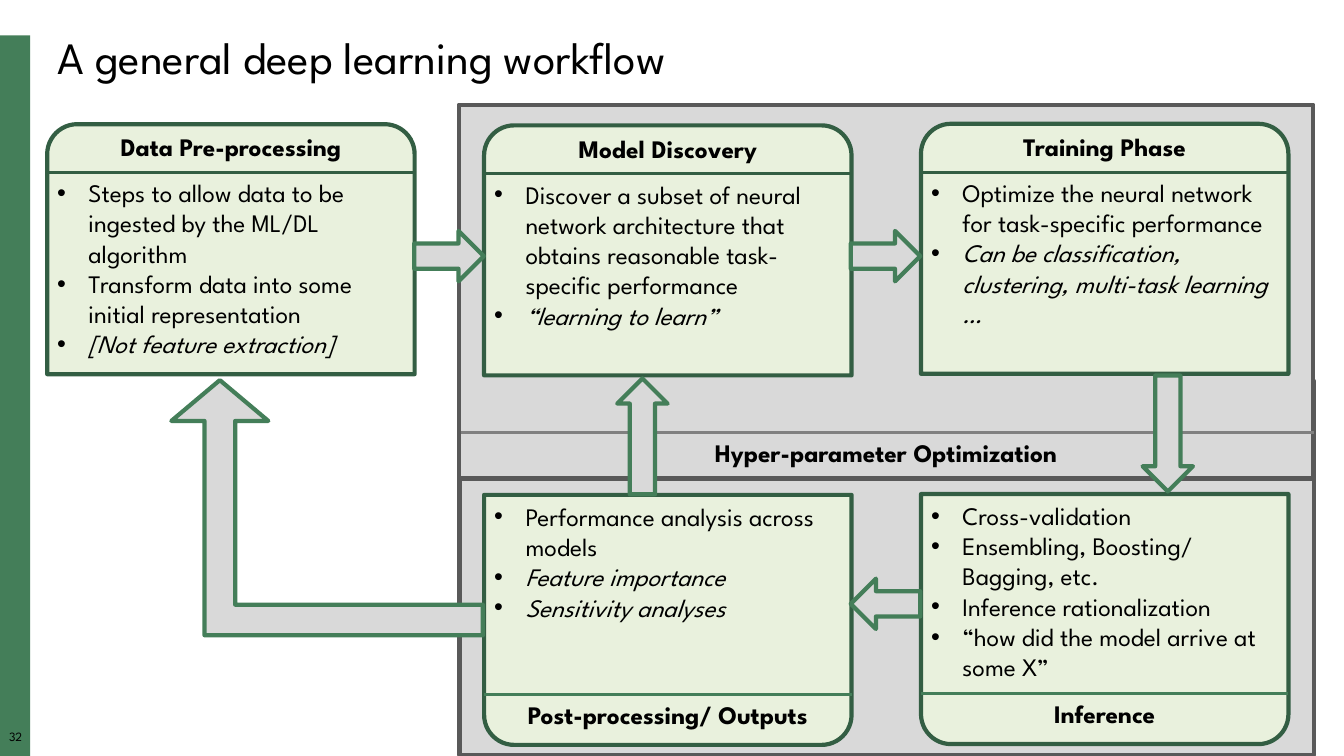
from lxml import etree
from pptx import Presentation
from pptx.dml.color import RGBColor
from pptx.enum import shapes, text
from pptx.oxml import ns
from pptx.util import Cm, Pt

FONT = "League Spartan"
COLORS = {
    "text": "000000",
    "accent": "447E59",
    "card": "E9F1DD",
    "card_line": "335E43",
    "panel": "D9D9D9",
    "panel_line": "595959",
    "rule": "808080",
}
CARD_WIDTH, CARD_HEIGHT = 9.26, 6.3
CARD_LEFT, COLUMN_STEP = 1.19, 11.01
HEADING_HEIGHT = 0.94

# Column, top, heading at the bottom, heading, list of (text, italic)
CARDS = [
    (1, 3.16, False, "Model Discovery", [
        ("Discover a subset of neural network architecture that obtains "
         "reasonable task-specific performance", False),
        ("“learning to learn”", True)]),
    (2, 3.12, False, "Training Phase", [
        ("Optimize the neural network for task-specific performance", False),
        ("Can be classification, clustering, multi-task learning …", True)]),
    (1, 12.47, True, "Post-processing/ Outputs", [
        ("Performance analysis across models", False),
        ("Feature importance", True),
        ("Sensitivity analyses", True)]),
    (2, 12.45, True, "Inference", [
        ("Cross-validation", False),
        ("Ensembling, Boosting/ Bagging, etc.", False),
        ("Inference rationalization", False),
        ("“how did the model arrive at some X”", False)]),
    (0, 3.13, False, "Data Pre-processing", [
        ("Steps to allow data to be ingested by the ML/DL algorithm", False),
        ("Transform data into some initial representation", False),
        ("[Not feature extraction]", True)]),
]

# Left, top, length, rotation
ARROWS = [
    (10.44, 5.82, 1.75, 0),
    (21.44, 5.82, 1.75, 0),
    (27.97, 10.29, 2.92, 90),
    (14.73, 10.36, 2.92, 270),
    (21.44, 14.58, 1.75, 180),
]


def color(name):
    return RGBColor.from_string(COLORS[name])


def place(shape, left, top, width, height):
    shape.left, shape.top = Cm(left), Cm(top)
    shape.width, shape.height = Cm(width), Cm(height)


def add_run(paragraph, words, size, bold=False, italic=False):
    run = paragraph.add_run()
    run.text = words
    font = run.font
    font.name, font.size, font.bold, font.italic = FONT, Pt(size), bold, italic
    font.color.rgb = color("text")


def add_box(slide, kind, box, fill, line=None, rotation=0):
    shape = slide.shapes.add_shape(kind, *map(Cm, box))
    shape.shadow.inherit = False
    shape.fill.solid()
    shape.fill.fore_color.rgb = color(fill)
    if line:
        shape.line.color.rgb = color(line)
        shape.line.width = Pt(3)
    else:
        shape.line.fill.background()
    shape.rotation = rotation
    return shape


def add_rule(slide, left, top, width, line):
    rule = slide.shapes.add_connector(
        shapes.MSO_CONNECTOR.STRAIGHT,
        Cm(left), Cm(top), Cm(left + width), Cm(top))
    rule.line.color.rgb = color(line)
    rule.line.width = Pt(2.25)
    etree.SubElement(rule.element.spPr, ns.qn("a:effectLst"))


def add_label(slide, box, words, size=18, bold=True):
    label = slide.shapes.add_textbox(*map(Cm, box))
    label.text_frame.word_wrap = True
    paragraph = label.text_frame.paragraphs[0]
    paragraph.alignment = text.PP_ALIGN.CENTER
    paragraph.line_spacing = 0.9
    add_run(paragraph, words, size, bold)
    return label


def add_bullet(paragraph):
    properties = paragraph._p.get_or_add_pPr()
    properties.set("marL", str(Cm(0.79)))
    properties.set("indent", str(-Cm(0.79)))
    etree.SubElement(properties, ns.qn("a:buFont")).set("typeface", "Arial")
    etree.SubElement(properties, ns.qn("a:buChar")).set("char", "•")


def fill_list(body, items):
    frame = body.text_frame
    frame.word_wrap = True
    frame.auto_size = text.MSO_AUTO_SIZE.NONE
    frame.vertical_anchor = text.MSO_ANCHOR.TOP
    for index, (words, italic) in enumerate(items):
        paragraph = frame.add_paragraph() if index else frame.paragraphs[0]
        add_bullet(paragraph)
        paragraph.alignment = text.PP_ALIGN.LEFT
        paragraph.line_spacing = 1.0
        paragraph.space_before = Pt(0)
        add_run(paragraph, words, 18, italic=italic)


def add_card(slide, body, column, top, heading_below, heading, items):
    left = CARD_LEFT + COLUMN_STEP * column
    card = add_box(slide, shapes.MSO_SHAPE.ROUND_2_SAME_RECTANGLE,
                   (left, top, CARD_WIDTH, CARD_HEIGHT), "card", "card_line",
                   180 if heading_below else 0)
    card.adjustments[0] = 0.12
    if heading_below:
        heading_top, rule_top, list_top, line = 5.12, 5.03, 0.03, "accent"
    else:
        heading_top, rule_top, list_top, line = 0.15, 1.22, 1.22, "card_line"
    add_label(slide, (left, top + heading_top, CARD_WIDTH, HEADING_HEIGHT), heading)
    add_rule(slide, left, top + rule_top, CARD_WIDTH, line)
    place(body, left, top + list_top, CARD_WIDTH, 4.88)
    fill_list(body, items)
    # Bring the list in front of its card
    body.element.getparent().append(body.element)


def add_title(slide, words):
    title = slide.shapes.title
    place(title, 1.19, 0.76, 31.75, 1.5)
    title.text_frame.auto_size = text.MSO_AUTO_SIZE.NONE
    title.text_frame.vertical_anchor = text.MSO_ANCHOR.MIDDLE
    paragraph = title.text_frame.paragraphs[0]
    paragraph.alignment = text.PP_ALIGN.LEFT
    paragraph.line_spacing = 0.9
    add_run(paragraph, words, 32)


def main():
    presentation = Presentation()
    presentation.slide_width, presentation.slide_height = Cm(33.87), Cm(19.05)
    # The comparison layout offers four body placeholders
    slide = presentation.slides.add_slide(presentation.slide_layouts[4])
    bodies = [shape for shape in slide.placeholders
              if shape.placeholder_format.idx > 0]

    # Side bar, page number and title
    rectangle = shapes.MSO_SHAPE.RECTANGLE
    add_box(slide, rectangle, (0, 0.89, 0.76, 18.16), "accent")
    number = add_label(slide, (0, 18.42, 0.79, 0.43), "32", 9, False)
    frame = number.text_frame
    frame.margin_left = frame.margin_right = 0
    frame.margin_top = frame.margin_bottom = 0
    add_title(slide, "A general deep learning workflow")

    # Hyper-parameter optimization panels
    for left, top in ((11.58, 9.6), (11.56, 2.64)):
        add_box(slide, rectangle, (left, top, 21.54, 9.42), "panel", "panel_line")
    add_label(slide, (11.66, 10.97, 21.34, HEADING_HEIGHT),
              "Hyper-parameter Optimization")
    add_rule(slide, 11.61, 10.9, 21.51, "rule")

    # Stage cards; the stage outside the panels takes a text box
    bodies.append(slide.shapes.add_textbox(0, 0, 0, 0))
    for body, card in zip(bodies, CARDS):
        add_card(slide, body, *card)

    # Flow arrows
    for left, top, length, rotation in ARROWS:
        add_box(slide, shapes.MSO_SHAPE.RIGHT_ARROW, (left, top, length, 1.27),
                "panel", "accent", rotation)
    feedback = add_box(slide, shapes.MSO_SHAPE.BENT_UP_ARROW,
                       (4.32, 9.58, 7.85, 6.43), "panel", "accent")
    for index, value in enumerate((0.12, 0.19, 0.16)):
        feedback.adjustments[index] = value
    feedback.element.spPr.find(ns.qn("a:xfrm")).set("flipH", "1")

    presentation.save("out.pptx")


if __name__ == "__main__":
    main()
